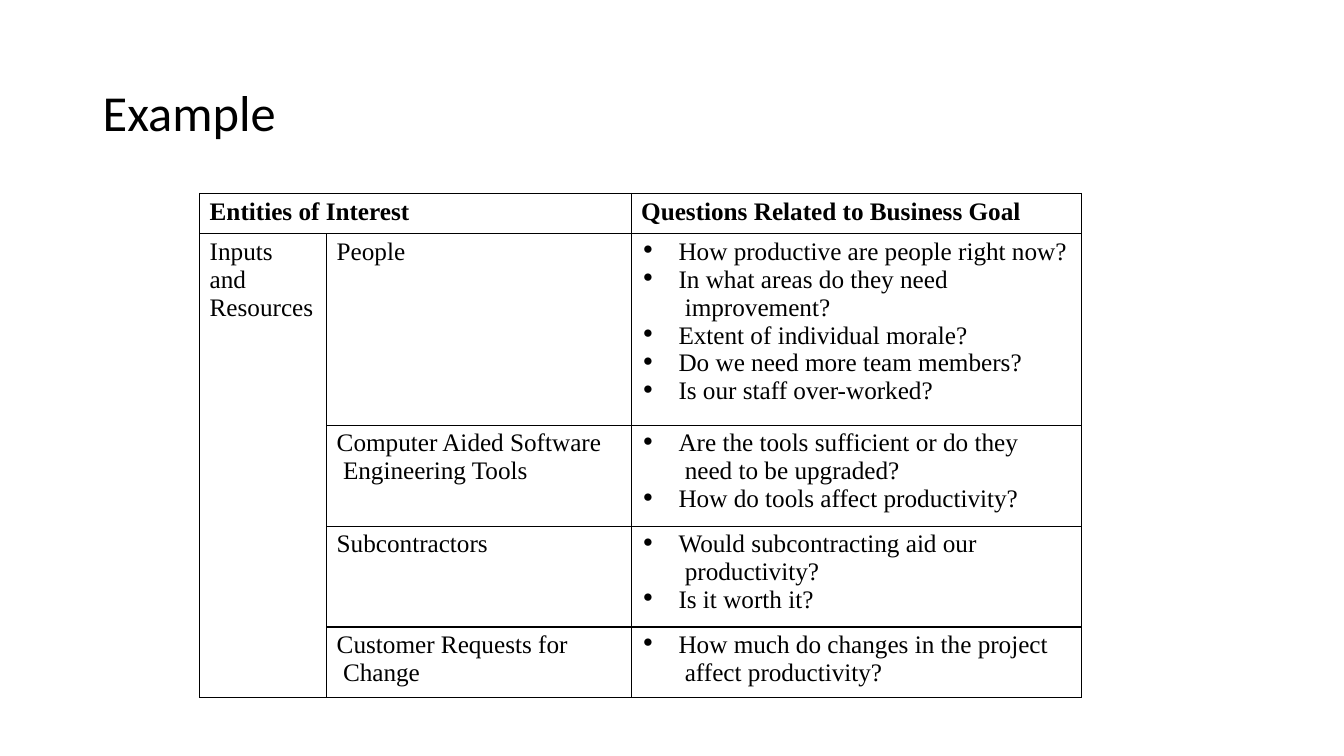
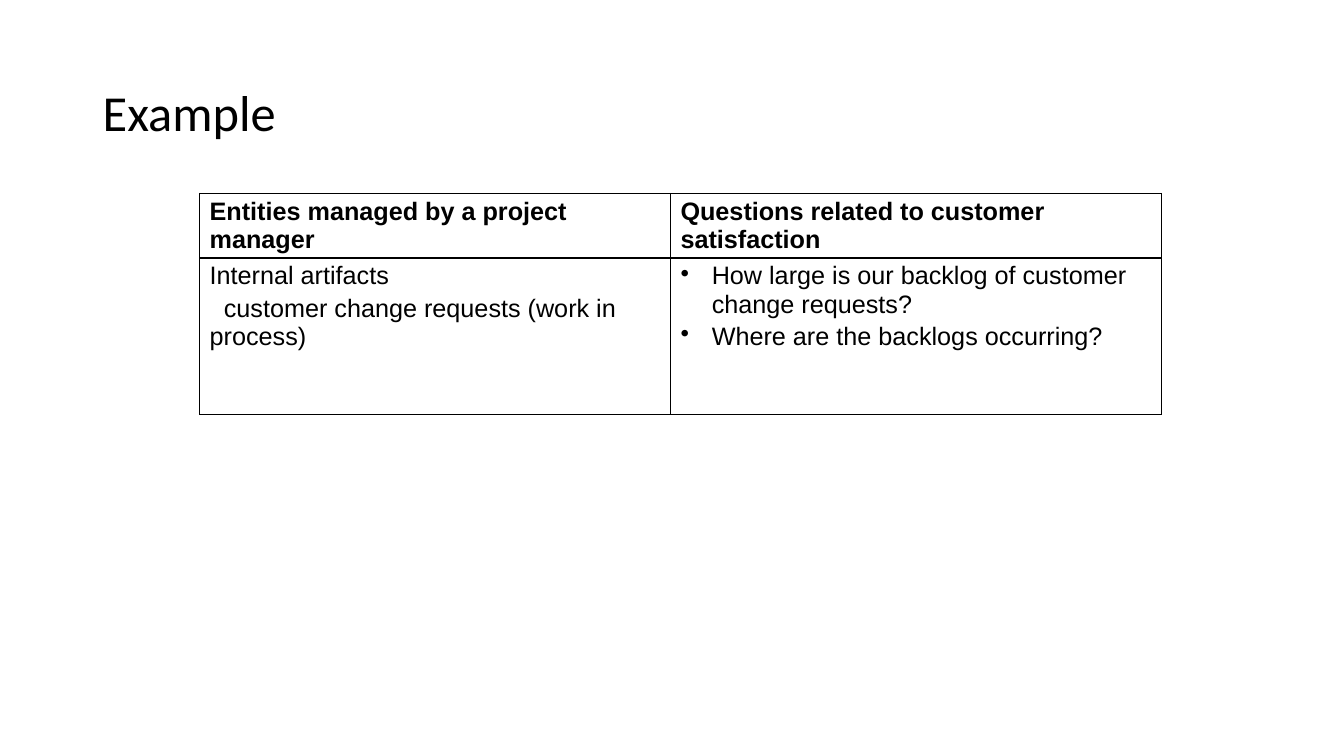
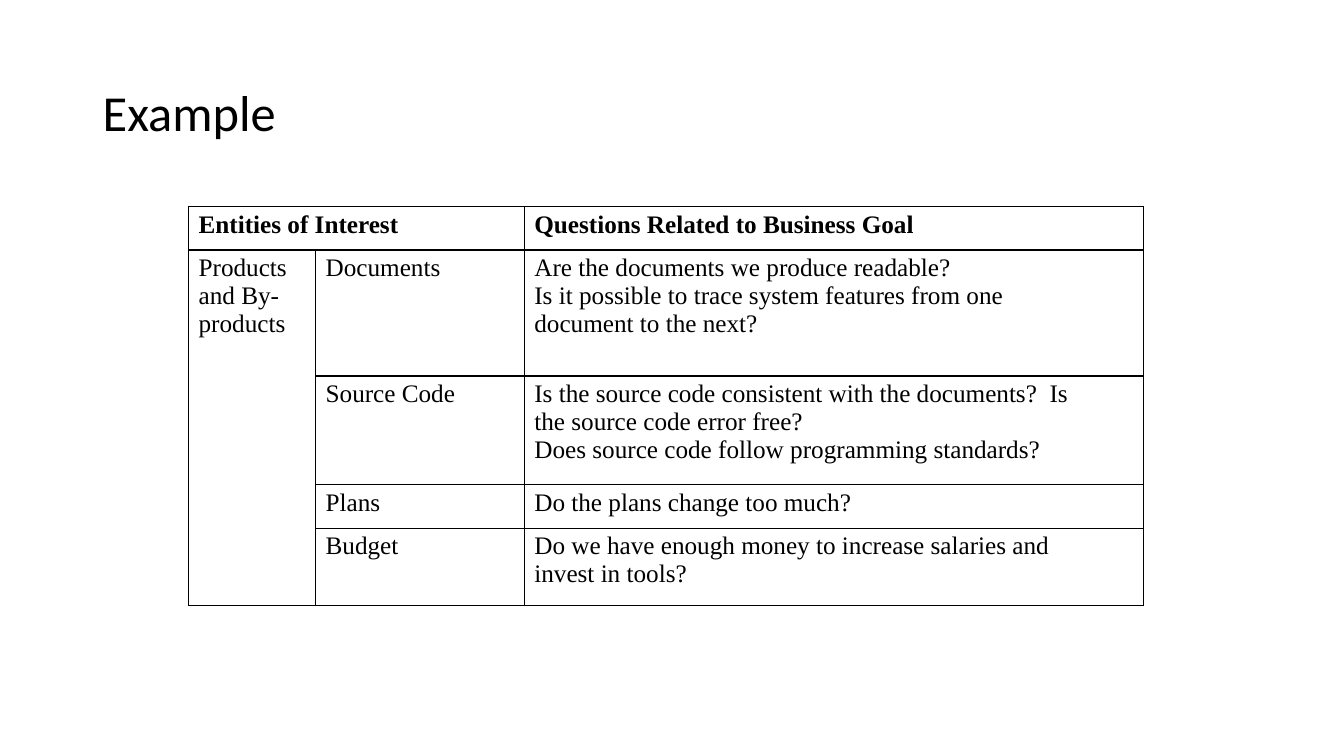
from pptx import Presentation
from pptx.dml.color import RGBColor
from pptx.enum.text import MSO_ANCHOR
from pptx.oxml import parse_xml
from pptx.oxml.ns import nsdecls
from pptx.util import Pt

PX = 9144
MIDDLE, TOP = MSO_ANCHOR.MIDDLE, MSO_ANCHOR.TOP
COLORS = {"text": "000000", "border": "000000", "background": "FFFFFF"}
SERIF, SANS, TITLE_FONT = "Times New Roman", "Arial", "Calibri"


def write(tf, text, font, size=18, bold=False, left=0, indent=0, bullet=None, gap=0, spacing=None):
    for i, line in enumerate(text.split("\n")):
        p = tf.paragraphs[0] if i == 0 else tf.add_paragraph()
        p.text = line
        pPr = p._p.get_or_add_pPr()
        pPr.set("marL", str(left * PX))
        pPr.set("indent", str((indent if bullet or i else 0) * PX))
        if bullet:
            pPr.append(parse_xml(f'<a:buClr {nsdecls("a")}><a:srgbClr val="{COLORS["text"]}"/></a:buClr>'))
            pPr.append(parse_xml(f'<a:buChar {nsdecls("a")} char="{bullet}"/>'))
        if i and gap:
            p.space_before = Pt(gap)
        if spacing:
            p.line_spacing = spacing
        for r in p.runs:
            r.font.name = font
            r.font.size = Pt(size)
            r.font.bold = bold
            r.font.color.rgb = RGBColor.from_string(COLORS["text"])


def outline(cell):
    cell.fill.background()
    tcPr = cell._tc.get_or_add_tcPr()
    for i, side in enumerate(("lnL", "lnR", "lnT", "lnB")):
        tcPr.insert(i, parse_xml(
            f'<a:{side} {nsdecls("a")} w="12700"><a:solidFill>'
            f'<a:srgbClr val="{COLORS["border"]}"/></a:solidFill></a:{side}>'))


HEADER = ["Entities of Interest", None, "Questions Related to Business Goal"]

SLIDES = [
    {
        "at": (198, 192), "cols": [126, 302, 447], "rows": [40, 190, 100, 100, 70],
        "font": SERIF, "merges": [(0, 0, 0, 1), (1, 0, 4, 0)],
        "questions": {"left": 47, "indent": -38, "bullet": "∙"},
        "cells": [
            HEADER,
            ["Inputs \vand \vResources", "People",
             "How productive are people right now?\n"
             "In what areas do they need\v improvement?\n"
             "Extent of individual morale?\n"
             "Do we need more team members?\n"
             "Is our staff over-worked?"],
            [None, "Computer Aided Software\v Engineering Tools",
             "Are the tools sufficient or do they\v need to be upgraded?\n"
             "How do tools affect productivity?"],
            [None, "Subcontractors",
             "Would subcontracting aid our\v productivity?\nIs it worth it?"],
            [None, "Customer Requests for\v Change",
             "How much do changes in the project\v affect productivity?"],
        ],
    },
    {
        "at": (198, 192), "cols": [467, 487], "rows": [60, 155],
        "font": SANS, "merges": [],
        "questions": {"left": 41, "indent": -31, "bullet": "•"},
        "cells": [
            ["Entities managed by a project manager", "Questions related to customer satisfaction"],
            ["Internal artifacts\ncustomer change requests (work in process)",
             "How large is our backlog of customer change requests?\n"
             "Where are the backlogs occurring?"],
        ],
    },
    {
        "at": (187, 205), "cols": [126, 207, 614], "rows": [43, 125, 108, 43, 77],
        "font": SERIF, "merges": [(0, 0, 0, 1), (1, 0, 4, 0)],
        "questions": {"left": 10},
        "cells": [
            HEADER,
            ["Products \vand By- \vproducts", "Documents",
             "Are the documents we produce readable?\n"
             "Is it possible to trace system features from one \vdocument to the next?"],
            [None, "Source Code",
             "Is the source code consistent with the documents?  Is\vthe source code error free?\n"
             "Does source code follow programming standards?"],
            [None, "Plans", "Do the plans change too much?"],
            [None, "Budget",
             "Do we have enough money to increase salaries and \vinvest in tools?"],
        ],
    },
]

prs = Presentation()
prs.slide_width, prs.slide_height = 1333 * PX, 750 * PX
background = prs.slide_master.background.fill
background.solid()
background.fore_color.rgb = RGBColor.from_string(COLORS["background"])

for spec_row in SLIDES:
    s = prs.slides.add_slide(prs.slide_layouts[6])
    tf = s.shapes.add_textbox(92 * PX, 68 * PX, 1150 * PX, 93 * PX).text_frame
    tf.word_wrap = True
    tf.vertical_anchor = MIDDLE
    write(tf, "Example", TITLE_FONT, size=36, spacing=0.9)

    x, y = spec_row["at"]
    cols, rows = spec_row["cols"], spec_row["rows"]
    table = s.shapes.add_table(len(rows), len(cols), x * PX, y * PX,
                               sum(cols) * PX, sum(rows) * PX).table
    table.first_row = table.horz_banding = False
    for column, width in zip(table.columns, cols):
        column.width = width * PX
    for row, height in zip(table.rows, rows):
        row.height = height * PX
    for top, left, bottom, right in spec_row["merges"]:
        table.cell(top, left).merge(table.cell(bottom, right))

    for i, texts in enumerate(spec_row["cells"]):
        for j, text in enumerate(texts):
            cell = table.cell(i, j)
            cell.margin_left = cell.margin_right = cell.margin_bottom = 0
            cell.margin_top = 4 * PX
            cell.vertical_anchor = TOP
            outline(cell)
            if text is None:
                continue
            is_question = i > 0 and j == len(cols) - 1
            layout = spec_row["questions"] if is_question else {"left": 10, "indent": 14}
            write(cell.text_frame, text, spec_row["font"], bold=i == 0,
                  gap=3 if spec_row["font"] == SANS else 0, **layout)

prs.save("out.pptx")
